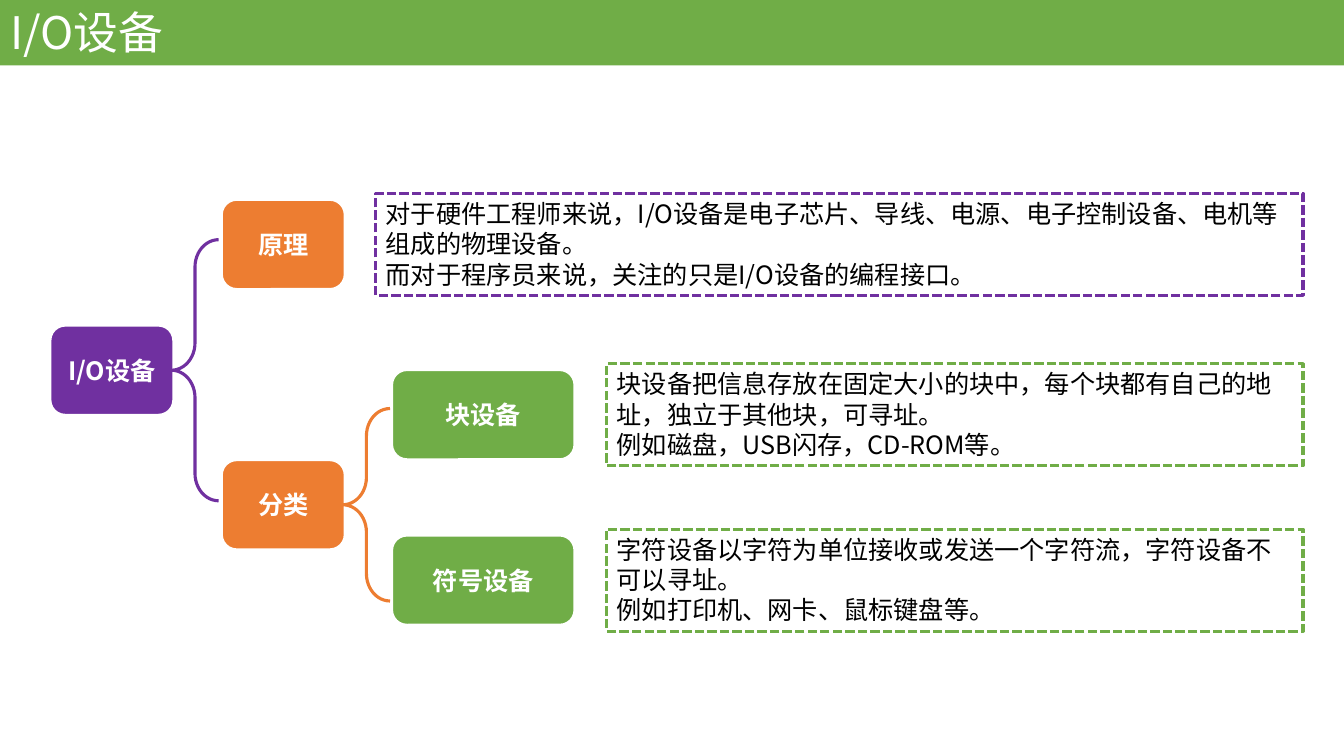
from pptx import Presentation
from pptx.dml.color import RGBColor
from pptx.enum.dml import MSO_LINE
from pptx.enum.shapes import MSO_SHAPE
from pptx.enum.text import MSO_ANCHOR, MSO_AUTO_SIZE, PP_ALIGN
from pptx.util import Cm, Pt
from lxml.etree import SubElement
from pptx.oxml.ns import qn

GREEN, PURPLE, ORANGE = "70AD47", "7030A0", "ED7D31"
WHITE, BLACK = "FFFFFF", "000000"


def rgb(color):
    return RGBColor.from_string(color)


class Builder:
    font = "Noto Sans CJK SC"
    node_h, note_h, note_right = 2.25, 2.57, 32.84

    def __init__(self, prs):
        self.s = prs.slides.add_slide(prs.slide_layouts[5])

    def set_text(self, sp, text, size, color, bold=False, align=PP_ALIGN.LEFT,
                 anchor=MSO_ANCHOR.TOP):
        tf = sp.text_frame
        tf.word_wrap = True
        tf.auto_size = MSO_AUTO_SIZE.NONE
        tf.vertical_anchor = anchor
        p = tf.paragraphs[0]
        p.text = text
        p.alignment = align
        p.font.name, p.font.size, p.font.bold = self.font, Pt(size), bold
        p.font.color.rgb = rgb(color)
        # East Asian glyphs take their own typeface element
        SubElement(p._p.pPr.find(qn("a:defRPr")), qn("a:ea"), typeface=self.font)

    def outline(self, sp, color, width):
        sp.line.color.rgb = rgb(color)
        sp.line.width = Pt(width)

    def title(self, text, width, height):
        sp = self.s.shapes.title
        sp.left, sp.top, sp.width, sp.height = Cm(0), Cm(0), Cm(width), Cm(height)
        sp.fill.solid()
        sp.fill.fore_color.rgb = rgb(GREEN)
        self.set_text(sp, text, 32, WHITE)

    def shape(self, kind, x, cy, w, h):
        sp = self.s.shapes.add_shape(kind, Cm(x), Cm(cy - h / 2), Cm(w), Cm(h))
        sp.shadow.inherit = False
        return sp

    def node(self, text, x, cy, w, color):
        sp = self.shape(MSO_SHAPE.ROUNDED_RECTANGLE, x, cy, w, self.node_h)
        sp.fill.solid()
        sp.fill.fore_color.rgb = rgb(color)
        self.outline(sp, WHITE, 1.5)
        self.set_text(sp, text, 18, WHITE, True, PP_ALIGN.CENTER, MSO_ANCHOR.MIDDLE)

    def note(self, text, x, cy, color):
        sp = self.s.shapes.add_textbox(Cm(x), Cm(cy - self.note_h / 2),
                                       Cm(self.note_right - x), Cm(self.note_h))
        self.outline(sp, color, 2.25)
        sp.line.dash_style = MSO_LINE.SQUARE_DOT
        self.set_text(sp, text, 18, BLACK)

    def brace(self, x, cy, h, color):
        sp = self.shape(MSO_SHAPE.LEFT_BRACE, x, cy, 1.19, h)
        sp.adjustments[0] = 0.58
        sp.fill.background()
        self.outline(sp, color, 2.25)


prs = Presentation()
prs.slide_width, prs.slide_height = Cm(33.87), Cm(19.05)
b = Builder(prs)
b.title("I/O设备", 33.87, 1.65)

# Tree nodes: text, left, centre height, width, colour
for node in [
    ("I/O设备", 1.27, 9.33, 3.1, PURPLE),
    ("原理", 5.59, 6.16, 3.1, ORANGE),
    ("分类", 5.59, 12.72, 3.1, ORANGE),
    ("块设备", 9.88, 10.45, 4.6, GREEN),
    ("符号设备", 9.88, 14.62, 4.6, GREEN),
]:
    b.node(*node)

# Explanations, each level with its node
for note in [
    ("对于硬件工程师来说，I/O设备是电子芯片、导线、电源、电子控制设备、电机等组成的物理设备。"
     "\v而对于程序员来说，关注的只是I/O设备的编程接口。", 9.47, 6.16, PURPLE),
    ("块设备把信息存放在固定大小的块中，每个块都有自己的地址，独立于其他块，可寻址。"
     "\v例如磁盘，USB闪存，CD-ROM等。", 15.29, 10.45, GREEN),
    ("字符设备以字符为单位接收或发送一个字符流，字符设备不可以寻址。"
     "\v例如打印机、网卡、鼠标键盘等。", 15.29, 14.62, GREEN),
]:
    b.note(*note)

# Braces from parent to children
b.brace(8.64, 12.72, 4.85, ORANGE)
b.brace(4.32, 9.33, 6.58, PURPLE)

prs.save("out.pptx")
